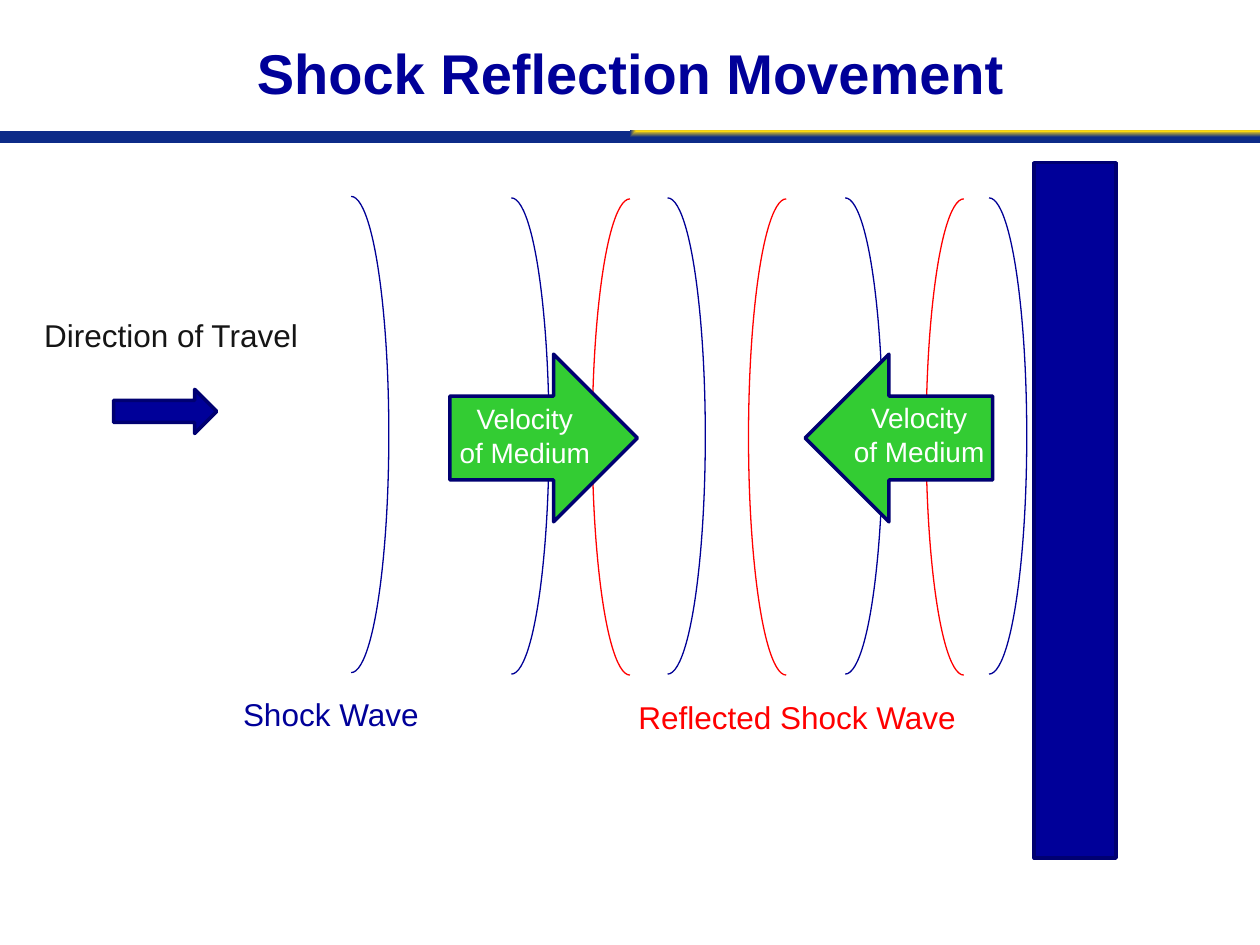
from lxml.etree import SubElement
from pptx import Presentation
from pptx.dml.color import RGBColor
from pptx.enum.shapes import MSO_SHAPE
from pptx.enum.text import MSO_ANCHOR, MSO_AUTO_SIZE, PP_ALIGN
from pptx.oxml.ns import qn
from pptx.util import Cm, Pt

COLORS = {"navy": "000099", "edge": "000071", "wave": "000096", "red": "FF0000",
          "green": "33CC33", "white": "FFFFFF", "ink": "151515",
          "gold": "FED910", "bar": "0D2B88"}


def rgb(name):
    return RGBColor.from_string(COLORS[name])


def write(frame, text, size=18, color="ink", bold=False, align=PP_ALIGN.LEFT):
    """Fill a text frame, one paragraph for each line of text."""
    frame.text = text
    for para in frame.paragraphs:
        para.alignment = align
        for run in para.runs:
            font = run.font
            font.name, font.size, font.bold = "Arial", Pt(size), bold
            font.color.rgb = rgb(color)


class Board:
    def __init__(self, slide):
        self.slide = slide

    def title(self, text, *box):
        item = self.slide.shapes.title
        item.left, item.top, item.width, item.height = map(Cm, box)
        frame = item.text_frame
        frame.auto_size = MSO_AUTO_SIZE.NONE
        frame.vertical_anchor = MSO_ANCHOR.TOP
        write(frame, text, size=32, color="navy", bold=True, align=PP_ALIGN.CENTER)

    def shape(self, kind, *box, fill=None, line="edge", width=2):
        item = self.slide.shapes.add_shape(kind, *map(Cm, box))
        item.shadow.inherit = False
        if fill:
            item.fill.solid()
            item.fill.fore_color.rgb = rgb(fill)
        else:
            item.fill.background()
        if line:
            item.line.color.rgb = rgb(line)
            item.line.width = Pt(width)
        else:
            item.line.fill.background()
        return item

    def band(self, *box):
        item = self.shape(MSO_SHAPE.RECTANGLE, *box, line=None)
        item.fill.gradient()
        for stop, name in zip(item.fill.gradient_stops, ("gold", "bar")):
            stop.color.rgb = rgb(name)
        # The gradient spreads from the top right corner
        grad = item.element.spPr.find(qn("a:gradFill"))
        grad.remove(grad.find(qn("a:lin")))
        focus = SubElement(grad, qn("a:path"), path="rect")
        SubElement(focus, qn("a:fillToRect"), l="100000", b="100000")

    def wave(self, left, top, color="wave", flip=False):
        item = self.shape(MSO_SHAPE.ARC, left, top, 1.52, 9.6, line=color, width=0.75)
        item.adjustments[0], item.adjustments[1] = 162, 54
        if flip:
            item.element.spPr.xfrm.set("flipH", "1")

    def label(self, text, *box, wrap=True, **style):
        item = self.slide.shapes.add_textbox(*map(Cm, box))
        item.text_frame.word_wrap = wrap
        item.text_frame.auto_size = MSO_AUTO_SIZE.SHAPE_TO_FIT_TEXT
        write(item.text_frame, text, **style)
        return item

    def flow(self, left, text_left, text_top, turn=0):
        arrow = self.shape(MSO_SHAPE.RIGHT_ARROW, left, 7.14, 3.78, 3.38, fill="green")
        arrow.rotation = turn
        note = self.label("Velocity\nof Medium", text_left, text_top, 3.18, 1.63,
                          wrap=False, size=16, color="white", align=PP_ALIGN.CENTER)
        self.slide.shapes.add_group_shape([arrow, note])


def main():
    deck = Presentation()
    deck.slide_width, deck.slide_height = Cm(25.4), Cm(19.05)
    board = Board(deck.slides.add_slide(deck.slide_layouts[5]))

    # Heading
    board.band(0, 2.64, 25.4, 0.25)
    board.title("Shock Reflection Movement", 3.94, 0.64, 17.55, 1.47)

    # Wall and direction of travel
    board.shape(MSO_SHAPE.RECTANGLE, 20.85, 3.28, 1.65, 14.02, fill="navy")
    board.shape(MSO_SHAPE.RIGHT_ARROW, 2.29, 7.85, 2.08, 0.89, fill="navy")
    board.label("Direction of Travel", 0.64, 6.25, 5.69, 1.02, wrap=False)

    # Incoming and reflected waves
    board.wave(6.32, 3.96)
    for left in (9.55, 12.7, 16.28, 19.18):
        board.wave(left, 3.99)
    for left in (11.94, 15.09, 18.67):
        board.wave(left, 4.01, color="red", flip=True)
    board.label("Shock Wave", 4.65, 13.89, 4.52, 1.02, color="navy")
    board.label("Reflected Shock Wave", 12.62, 13.94, 7.21, 1.02, color="red")

    # Motion of the medium
    board.flow(16.23, 16.94, 7.95, turn=180)
    board.flow(9.07, 8.99, 7.98)

    deck.save("out.pptx")


if __name__ == "__main__":
    main()
